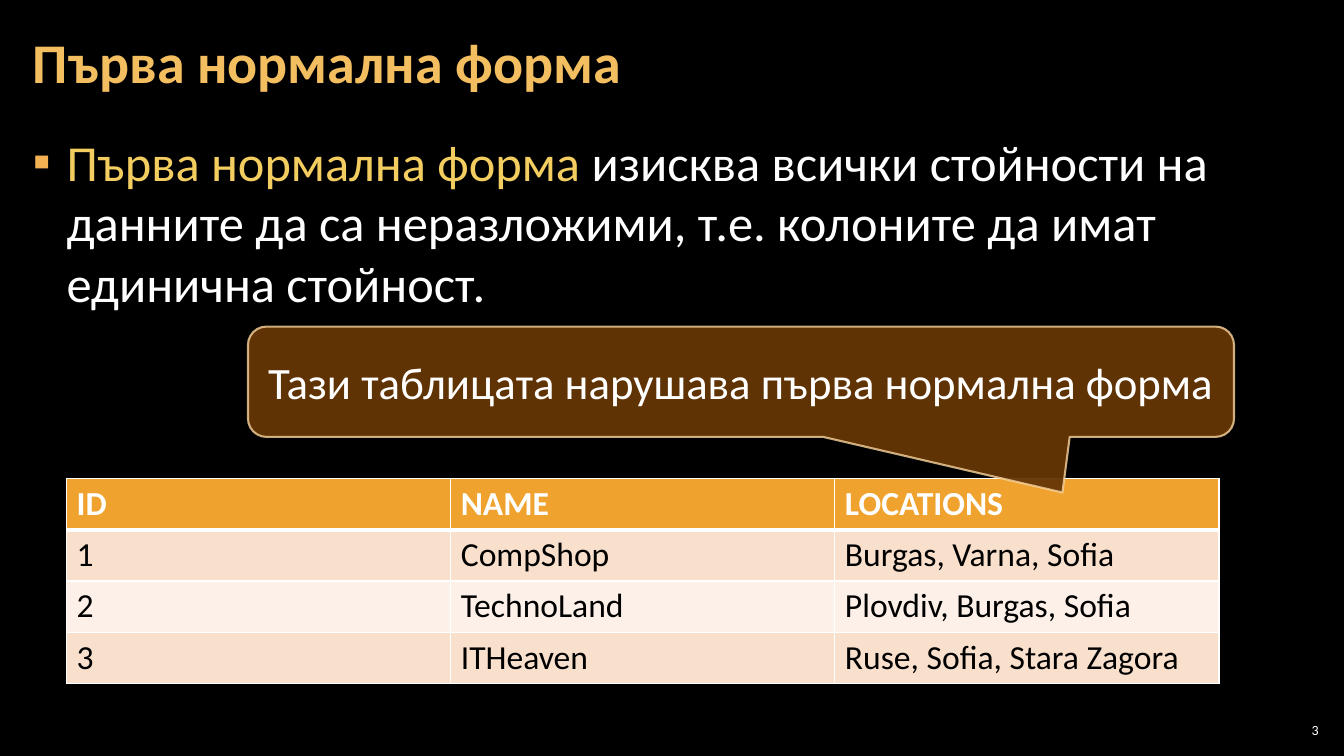
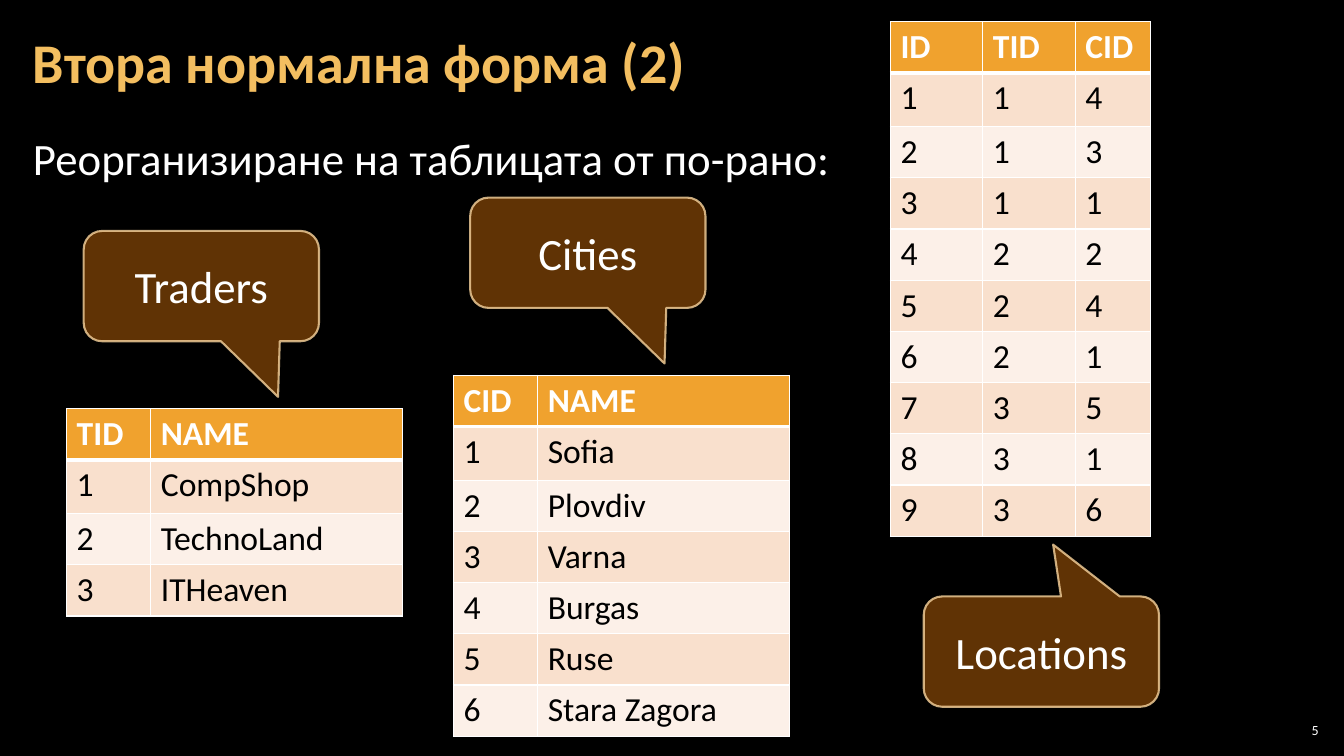
from lxml.etree import SubElement
from pptx import Presentation
from pptx.dml.color import RGBColor
from pptx.enum.shapes import MSO_SHAPE as SHAPE
from pptx.enum.text import MSO_ANCHOR as ANCHOR, PP_ALIGN as ALIGN
from pptx.oxml.ns import qn
from pptx.util import Cm, Pt

FONT = "Calibri"
BLACK, WHITE = "000000", "FFFFFF"
TITLE_GOLD, TERM_YELLOW, BULLET_GOLD = "F3BE60", "F3CD60", "F2B254"
HEADER_ORANGE, BAND_DARK, BAND_LIGHT = "F0A22E", "F9E0CD", "FCF0E8"
CALLOUT_BROWN, CALLOUT_EDGE = "663606", "F8D49E"
ROW_HEIGHT, FIRST_ROW_HEIGHT = 1.29, 1.35
POINT_DOWN, POINT_UP = (0.326, 1.004, 0.167), (0.05, -0.97, 0.167)


def paint(color_format, hex_color):
    color_format.rgb = RGBColor.from_string(hex_color)


def add_run(paragraph, text, size, hex_color, bold=False):
    run = paragraph.add_run()
    run.text = text
    run.font.name = FONT
    run.font.size = Pt(size)
    run.font.bold = bold
    paint(run.font.color, hex_color)


slides = [
    {
        "number": "3",
        "title": "Първа нормална форма",
        "body": [
            ("Първа нормална форма ", TERM_YELLOW),
            ("изисква всички стойности на данните да са неразложими, "
             "т.е. колоните да имат единична стойност.", WHITE),
        ],
        "body_size": 36,
        "body_height": 5.49,
        "bullet": True,
        "tables": [
            {
                "at": (1.68, 12.06),
                "columns": (9.68, 9.68, 9.68),
                "first_row": ROW_HEIGHT,
                "rows": [
                    ("ID", "NAME", "LOCATIONS"),
                    ("1", "CompShop", "Burgas, Varna, Sofia"),
                    ("2", "TechnoLand", "Plovdiv, Burgas, Sofia"),
                    ("3", "ITHeaven", "Ruse, Sofia, Stara Zagora"),
                ],
                "callout": "Тази таблицата нарушава първа нормална форма",
                "callout_at": (6.25, 8.23, 24.85),
                "pointer": POINT_DOWN,
            },
        ],
    },
    {
        "number": "5",
        "title": "Втора нормална форма (2)",
        "body": [("Реорганизиране на таблицата от по-рано:", WHITE)],
        "body_size": 32,
        "body_height": 2.31,
        "bullet": False,
        "tables": [
            {
                "at": (1.68, 10.3),
                "columns": (2.12, 6.35),
                "first_row": FIRST_ROW_HEIGHT,
                "rows": [("TID", "NAME"), ("1", "CompShop"),
                         ("2", "TechnoLand"), ("3", "ITHeaven")],
                "callout": "Traders",
                "callout_at": (2.11, 5.82, 5.93),
                "pointer": POINT_DOWN,
            },
            {
                "at": (11.43, 9.46),
                "columns": (2.12, 6.35),
                "first_row": FIRST_ROW_HEIGHT,
                "rows": [("CID", "NAME"), ("1", "Sofia"), ("2", "Plovdiv"),
                         ("3", "Varna"), ("4", "Burgas"), ("5", "Ruse"),
                         ("6", "Stara Zagora")],
                "callout": "Cities",
                "callout_at": (11.85, 4.98, 5.93),
                "pointer": POINT_DOWN,
            },
            {
                "at": (22.44, 0.55),
                "columns": (2.33, 2.33, 1.9),
                "first_row": FIRST_ROW_HEIGHT,
                "rows": [("ID", "TID", "CID"), ("1", "1", "4"),
                         ("2", "1", "3"), ("3", "1", "1"),
                         ("4", "2", "2"), ("5", "2", "4"),
                         ("6", "2", "1"), ("7", "3", "5"),
                         ("8", "3", "1"), ("9", "3", "6")],
                "callout": "Locations",
                "callout_at": (23.28, 15.03, 5.93),
                "pointer": POINT_UP,
            },
        ],
    },
]

presentation = Presentation()
presentation.slide_width = Cm(33.87)
presentation.slide_height = Cm(19.05)
background = presentation.slide_master.background.fill
background.solid()
paint(background.fore_color, BLACK)

for content in slides:
    slide = presentation.slides.add_slide(presentation.slide_layouts[6])

    paragraphs = []
    for left, top, width, height, side_inset, anchor in (
        (32.13, 18.14, 1.2, 0.53, 0.1, ANCHOR.MIDDLE),
        (0.53, 3.2, 32.8, content["body_height"], 0.3, ANCHOR.TOP),
        (0.53, 0.1, 26.6, 3.08, 0.3, ANCHOR.MIDDLE),
    ):
        box = slide.shapes.add_textbox(Cm(left), Cm(top), Cm(width), Cm(height))
        frame = box.text_frame
        frame.word_wrap = True
        frame.vertical_anchor = anchor
        frame.margin_left = frame.margin_right = Cm(side_inset)
        frame.margin_top = frame.margin_bottom = Cm(0.1)
        paragraphs.append(frame.paragraphs[0])
    number, body, title = paragraphs

    number.alignment = ALIGN.RIGHT
    add_run(number, content["number"], 10, WHITE)

    body.space_after = Pt(6)
    if content["bullet"]:
        properties = body._p.get_or_add_pPr()
        properties.set("marL", str(Cm(0.85)))
        properties.set("indent", str(-Cm(0.85)))
        bullet_color = SubElement(properties, qn("a:buClr"))
        SubElement(bullet_color, qn("a:srgbClr"), val=BULLET_GOLD)
        SubElement(properties, qn("a:buFont"), typeface=FONT)
        SubElement(properties, qn("a:buChar"), char="▪")
    for text, hex_color in content["body"]:
        add_run(body, text, content["body_size"], hex_color)

    title.line_spacing = 0.9
    add_run(title, content["title"], 40, TITLE_GOLD, bold=True)

    for item in content["tables"]:
        rows, columns = item["rows"], item["columns"]
        left, top = item["at"]
        heights = [ROW_HEIGHT, item["first_row"]] + [ROW_HEIGHT] * (len(rows) - 2)
        table = slide.shapes.add_table(
            len(rows), len(columns), Cm(left), Cm(top),
            Cm(sum(columns)), Cm(sum(heights))).table
        for column, width in zip(table.columns, columns):
            column.width = Cm(width)
        for row_index, (values, height) in enumerate(zip(rows, heights)):
            table.rows[row_index].height = Cm(height)
            is_header = row_index == 0
            band = BAND_DARK if row_index % 2 else BAND_LIGHT
            for cell, value in zip(table.rows[row_index].cells, values):
                properties = cell._tc.get_or_add_tcPr()
                for side in ("lnL", "lnR", "lnT", "lnB"):
                    thick = (row_index, side) in ((0, "lnB"), (1, "lnT"))
                    border = SubElement(properties, qn(f"a:{side}"),
                                        w=str(Pt(3 if thick else 1)))
                    border_fill = SubElement(border, qn("a:solidFill"))
                    SubElement(border_fill, qn("a:srgbClr"), val=WHITE)
                cell.fill.solid()
                paint(cell.fill.fore_color, HEADER_ORANGE if is_header else band)
                add_run(cell.text_frame.paragraphs[0], value, 24,
                        WHITE if is_header else BLACK, bold=is_header)

        left, top, width = item["callout_at"]
        callout = slide.shapes.add_shape(
            SHAPE.ROUNDED_RECTANGULAR_CALLOUT, Cm(left), Cm(top), Cm(width), Cm(2.78))
        callout.shadow.inherit = False
        for index, adjustment in enumerate(item["pointer"]):
            callout.adjustments[index] = adjustment
        callout.fill.solid()
        paint(callout.fill.fore_color, CALLOUT_BROWN)
        callout.line.width = Pt(1.5)
        paint(callout.line.color, CALLOUT_EDGE)
        colors = callout.element.spPr.iter(qn("a:srgbClr"))
        for color, opacity in zip(list(colors), (95, 80)):
            SubElement(color, qn("a:alpha"), val=str(opacity * 1000))
        callout.text_frame.word_wrap = True
        callout.text_frame.vertical_anchor = ANCHOR.MIDDLE
        label = callout.text_frame.paragraphs[0]
        label.alignment = ALIGN.CENTER
        add_run(label, item["callout"], 32, WHITE)

presentation.save("out.pptx")
